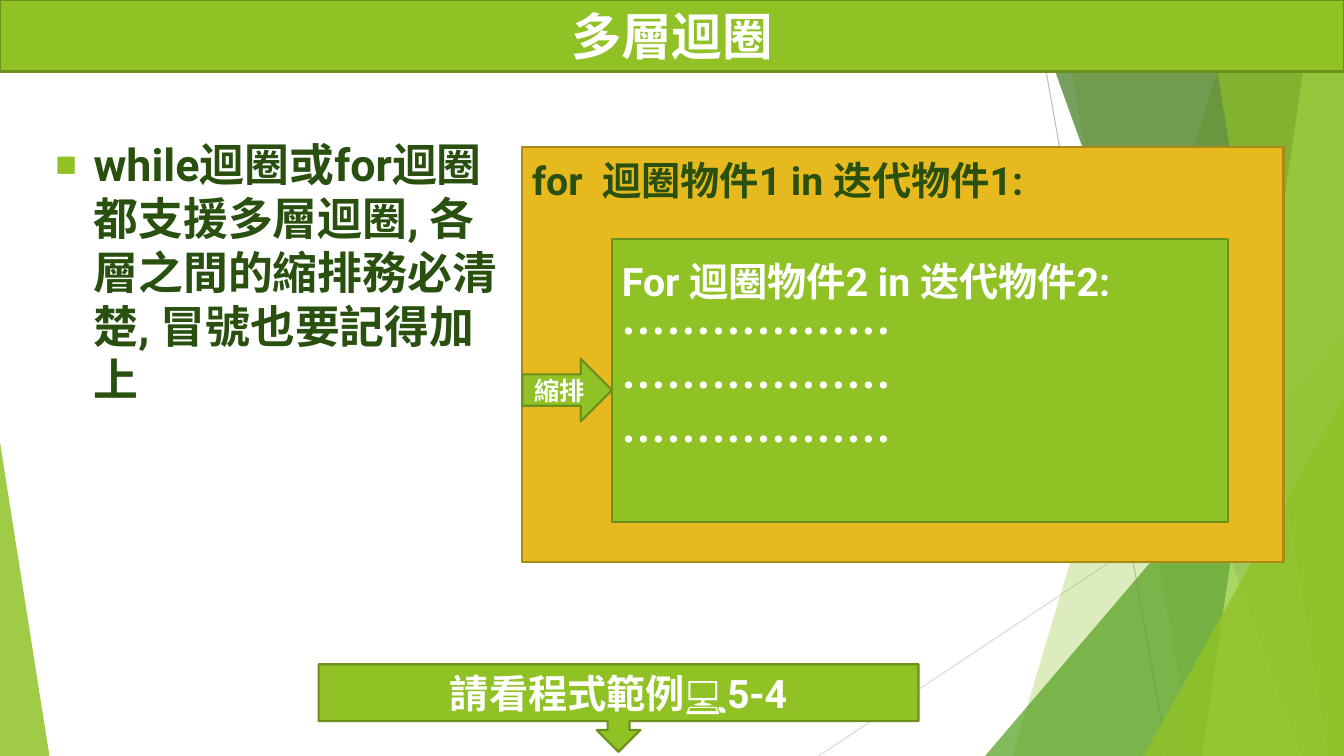
import pptx
import pptx.util
import pptx.dml.color
import pptx.enum.shapes
import pptx.enum.text
import pptx.oxml
import pptx.oxml.ns
import pptx.oxml.xmlchemy

Inches = pptx.util.Inches
Pt = pptx.util.Pt
RGBColor = pptx.dml.color.RGBColor
Kind = pptx.enum.shapes.MSO_SHAPE
Anchor = pptx.enum.text.MSO_ANCHOR
Align = pptx.enum.text.PP_ALIGN
qn = pptx.oxml.ns.qn
Element = pptx.oxml.xmlchemy.OxmlElement

LIME = RGBColor(0x90, 0xC2, 0x26)
OLIVE = RGBColor(0x6B, 0x90, 0x1C)
LEAF = RGBColor(0x54, 0xA0, 0x21)
MOSS = RGBColor(0x3F, 0x78, 0x19)
PALE = RGBColor(0xC0, 0xE4, 0x74)
PINE = RGBColor(0x2A, 0x50, 0x10)
GOLD = RGBColor(0xE6, 0xB9, 0x1E)
BRONZE = RGBColor(0xAA, 0x89, 0x16)
WHITE = RGBColor(0xFF, 0xFF, 0xFF)
GRAY = RGBColor(0xBF, 0xBF, 0xBF)
SILVER = RGBColor(0xD9, 0xD9, 0xD9)

WIDE, HIGH = 13.33, 7.5
CJK = "Noto Sans CJK SC"

TITLE = "多層迴圈"
POINT = "while迴圈或for迴圈都⽀援多層迴圈, 各層之間的縮排務必清楚, 冒號也要記得加上"
OUTER = "for  迴圈物件1 in 迭代物件1:"
INNER = "For 迴圈物件2 in 迭代物件2:"
DOTS = ["………………"] * 3
INDENT = "縮排"
DEMO = "請看程式範例💻5-4"

RAYS = [
    ((10.25, 0), (11.58, HIGH), GRAY),
    ((WIDE, 4.03), (8.12, HIGH), SILVER),
]
BANDS_LOW = [(12.28, 10.04, LIME, 30), (10.5, 11.83, LIME, 20)]
BANDS_TOP = [(10.21, 12.91, MOSS, 70), (13.03, 11.92, PALE, 70), (11.96, 13.18, LIME, 65)]
WEDGE_LOW = (9.77, 3.33, 3.56, 1, LEAF, 72)
WEDGES_TOP = [(11.34, 3.93, 1.99, 1, LIME, 80), (0, 4.39, 0.49, 0, LIME, 85)]

deck = pptx.Presentation()
deck.slide_width, deck.slide_height = Inches(WIDE), Inches(HIGH)
slide = deck.slides.add_slide(deck.slide_layouts[6])
shapes = slide.shapes


def paint(shape, fill, alpha=100, edge=None):
    shape.shadow.inherit = False
    shape.fill.solid()
    shape.fill.fore_color.rgb = fill
    if alpha < 100:
        veil = Element("a:alpha")
        veil.set("val", str(alpha * 1000))
        shape._element.spPr.find(qn("a:solidFill"))[0].append(veil)
    if edge is None:
        shape.line.fill.background()
    else:
        shape.line.color.rgb = edge
        shape.line.width = Pt(1.5)


def ray(start, end, color):
    line = shapes.add_connector(
        pptx.enum.shapes.MSO_CONNECTOR.STRAIGHT, *map(Inches, start + end))
    line.line.color.rgb = color
    line.line.width = Pt(0.75)
    line._element.spPr.append(Element("a:effectLst"))


def band(top, base, color, alpha):
    pen = shapes.build_freeform(Inches(top), 0)
    corners = [(WIDE, 0), (WIDE, HIGH), (base, HIGH)]
    pen.add_line_segments([(Inches(x), Inches(y)) for x, y in corners], close=True)
    paint(pen.convert_to_shape(), color, alpha)


def wedge(left, top, width, apex, color, alpha):
    shape = shapes.add_shape(
        Kind.ISOSCELES_TRIANGLE, *map(Inches, (left, top, width, HIGH - top)))
    shape.adjustments[0] = apex
    paint(shape, color, alpha)


def box(kind, place, fill=LIME, edge=OLIVE):
    shape = shapes.add_shape(kind, *map(Inches, place))
    paint(shape, fill, edge=edge)
    return shape


def write(shape, text, size=28, color=WHITE, font="Roboto", align=Align.CENTER,
          anchor=Anchor.MIDDLE, top=0.05, first=True, bullet=False):
    frame = shape.text_frame
    frame.word_wrap = True
    frame.vertical_anchor = anchor
    frame.margin_top = Inches(top)
    para = frame.paragraphs[0] if first else frame.add_paragraph()
    para.alignment = align
    if bullet:
        props = para._p.get_or_add_pPr()
        props.set("marL", str(Inches(0.38)))
        props.set("indent", str(-Inches(0.38)))
        hue = Element("a:buClr")
        rgb = Element("a:srgbClr")
        rgb.set("val", str(LIME))
        hue.append(rgb)
        props.append(hue)
        for tag, key, val in [("a:buSzPct", "val", "80000"),
                              ("a:buFont", "typeface", "Arial"),
                              ("a:buChar", "char", "■")]:
            mark = Element(tag)
            mark.set(key, val)
            props.append(mark)
    run = para.add_run()
    run.text = text
    run.font.name = font
    run.font.size = Pt(size)
    run.font.bold = True
    run.font.color.rgb = color
    east = Element("a:ea")
    east.set("typeface", CJK)
    run._r.rPr.find(qn("a:latin")).addnext(east)


for item in RAYS:
    ray(*item)
for item in BANDS_LOW:
    band(*item)
wedge(*WEDGE_LOW)
for item in BANDS_TOP:
    band(*item)
for item in WEDGES_TOP:
    wedge(*item)

write(box(Kind.RECTANGLE, (0, 0, WIDE, 0.71)), TITLE, size=36, font="Arial")

body = shapes.add_textbox(*map(Inches, (0.45, 1.31, 4.73, 5.51)))
write(body, POINT, size=32, color=PINE, align=Align.LEFT, anchor=Anchor.TOP, bullet=True)

outer = box(Kind.RECTANGLE, (5.18, 1.46, 7.55, 4.12), GOLD, BRONZE)
write(outer, OUTER, color=PINE, align=Align.LEFT, anchor=Anchor.TOP, top=0.09)

inner = box(Kind.RECTANGLE, (6.07, 2.37, 6.11, 2.81))
look = dict(align=Align.LEFT, anchor=Anchor.TOP, top=0.18)
write(inner, INNER, **look)
for dots in DOTS:
    write(inner, dots, size=32, font=CJK, first=False, **look)

write(box(Kind.RIGHT_ARROW, (5.18, 3.56, 0.89, 0.62)), INDENT, size=18)
write(box(Kind.DOWN_ARROW_CALLOUT, (3.16, 6.59, 5.95, 0.87)), DEMO)

deck.save("out.pptx")
